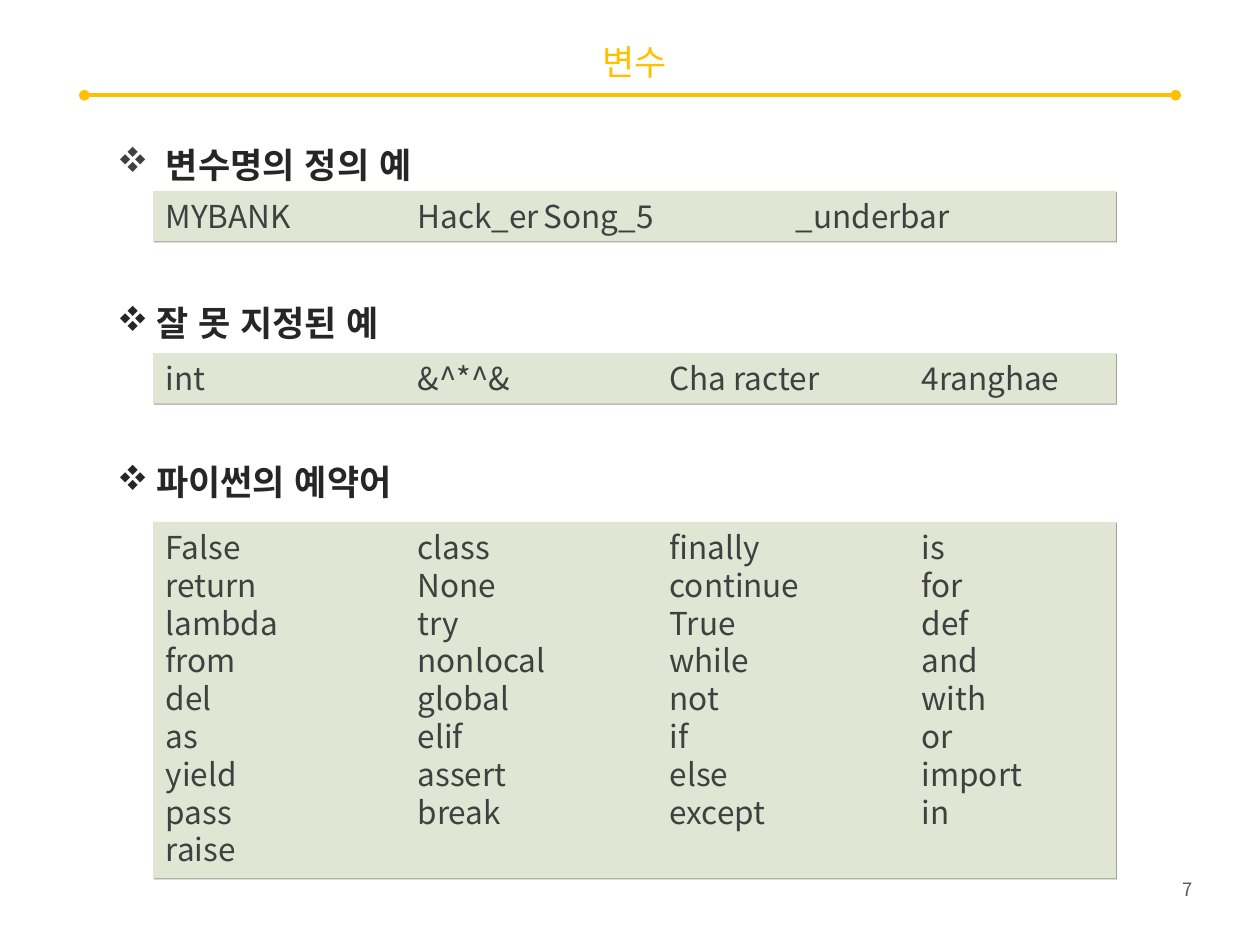
from lxml import etree
from pptx import Presentation
from pptx.dml.color import RGBColor
from pptx.enum.lang import MSO_LANGUAGE_ID
from pptx.enum.shapes import MSO_CONNECTOR, MSO_SHAPE
from pptx.enum.text import MSO_ANCHOR, PP_ALIGN
from pptx.oxml.ns import qn
from pptx.util import Cm, Pt

STRAIGHT = MSO_CONNECTOR.STRAIGHT
RECTANGLE = MSO_SHAPE.RECTANGLE
TOP, MIDDLE = MSO_ANCHOR.TOP, MSO_ANCHOR.MIDDLE
LEFT, CENTER, RIGHT = PP_ALIGN.LEFT, PP_ALIGN.CENTER, PP_ALIGN.RIGHT
KOREAN = MSO_LANGUAGE_ID.KOREAN

FONT = "Noto Sans CJK KR"
COLORS = {
    "accent": "FFC000",
    "heading": "262626",
    "body": "404040",
    "number": "595959",
    "panel": "E0E5D4",
    "shadow": "000000",
}


def add_element(parent, tag, **attributes):
    return etree.SubElement(parent, qn(tag), attributes)


def write_text(shape, text, size, color, align=LEFT, anchor=TOP, bold=False, wrap=True):
    text_frame = shape.text_frame
    text_frame.text = text
    text_frame.word_wrap = wrap
    text_frame.vertical_anchor = anchor
    for paragraph in text_frame.paragraphs:
        paragraph.alignment = align
        paragraph._p.get_or_add_pPr().set("defTabSz", str(Cm(2.54)))
        for run in paragraph.runs:
            run.font.size = Pt(size)
            run.font.bold = bold
            run.font.name = FONT
            run.font.language_id = KOREAN
            run.font.color.rgb = RGBColor.from_string(COLORS[color])
            add_element(run.font._element, "a:ea", typeface=FONT)


presentation = Presentation()
presentation.slide_width = Cm(25.4)
presentation.slide_height = Cm(19.05)
slide = presentation.slides.add_slide(presentation.slide_layouts[6])

# Title with a dotted-end rule below it
title = slide.shapes.add_textbox(Cm(2.1), Cm(0.76), Cm(21.4), Cm(0.97))
write_text(title, "변수", 20, "accent", align=CENTER, anchor=MIDDLE)

rule = slide.shapes.add_connector(STRAIGHT, Cm(1.7), Cm(1.92), Cm(23.7), Cm(1.92))
rule.line.color.rgb = RGBColor.from_string(COLORS["accent"])
rule.line.width = Pt(2)
rule_line = rule.line._get_or_add_ln()
add_element(rule_line, "a:headEnd", type="oval")
add_element(rule_line, "a:tailEnd", type="oval")
add_element(rule._element.spPr, "a:effectLst")

# Sections: heading, bullet colour, heading top, panel top, panel height, panel lines
sections = [
    (" 변수명의 정의 예", "body", 2.34, 3.85, 1.02, ["MYBANK\t\tHack_er\tSong_5\t\t_underbar"]),
    ("잘 못 지정된 예", "heading", 5.54, 7.12, 1.02, ["int\t\t&^*^&\t\tCha racter\t4ranghae"]),
    ("파이썬의 예약어", "heading", 8.74, 10.52, 7.19, [
        "False\t\tclass\t\tfinally\t\tis",
        "return\t\tNone\t\tcontinue\tfor",
        "lambda\t\ttry\t\tTrue\t\tdef",
        "from\t\tnonlocal\twhile\t\tand",
        "del\t\tglobal\t\tnot\t\twith",
        "as\t\telif\t\tif\t\tor",
        "yield\t\tassert\t\telse\t\timport",
        "pass\t\tbreak\t\texcept\t\tin",
        "raise",
    ]),
]

for heading_text, bullet_color, heading_top, panel_top, panel_height, lines in sections:
    # Bulleted heading; Wingdings draws "v" as the four-diamond mark
    heading = slide.shapes.add_textbox(Cm(2.11), Cm(heading_top), Cm(14.2), Cm(1.42))
    write_text(heading, heading_text, 20, "heading", bold=True)
    paragraph = heading.text_frame.paragraphs[0]
    paragraph.line_spacing = 1.5
    properties = paragraph._p.get_or_add_pPr()
    properties.set("marL", str(Cm(0.79)))
    properties.set("indent", str(-Cm(0.79)))
    bullet_fill = add_element(properties, "a:buClr")
    add_element(bullet_fill, "a:srgbClr", val=COLORS[bullet_color])
    add_element(properties, "a:buFont", typeface="Wingdings", charset="2")
    add_element(properties, "a:buChar", char="v")

    # Panel of names with a thin shadow at its lower right edges
    panel = slide.shapes.add_shape(RECTANGLE, Cm(3.09), Cm(panel_top), Cm(19.41), Cm(panel_height))
    panel.fill.solid()
    panel.fill.fore_color.rgb = RGBColor.from_string(COLORS["panel"])
    panel.line.fill.background()
    panel.shadow.inherit = False
    effects = panel._element.spPr.find(qn("a:effectLst"))
    shadow = add_element(effects, "a:outerShdw", dist=str(Pt(0.7)), dir="2700000")
    shadow_color = add_element(shadow, "a:srgbClr", val=COLORS["shadow"])
    add_element(shadow_color, "a:alpha", val="40000")
    write_text(panel, "\n".join(lines), 18, "body")

# Page number
number = slide.shapes.add_textbox(Cm(22.79), Cm(17.58), Cm(1.5), Cm(0.74))
write_text(number, "7", 10.5, "number", align=RIGHT, wrap=False)

presentation.save("out.pptx")
